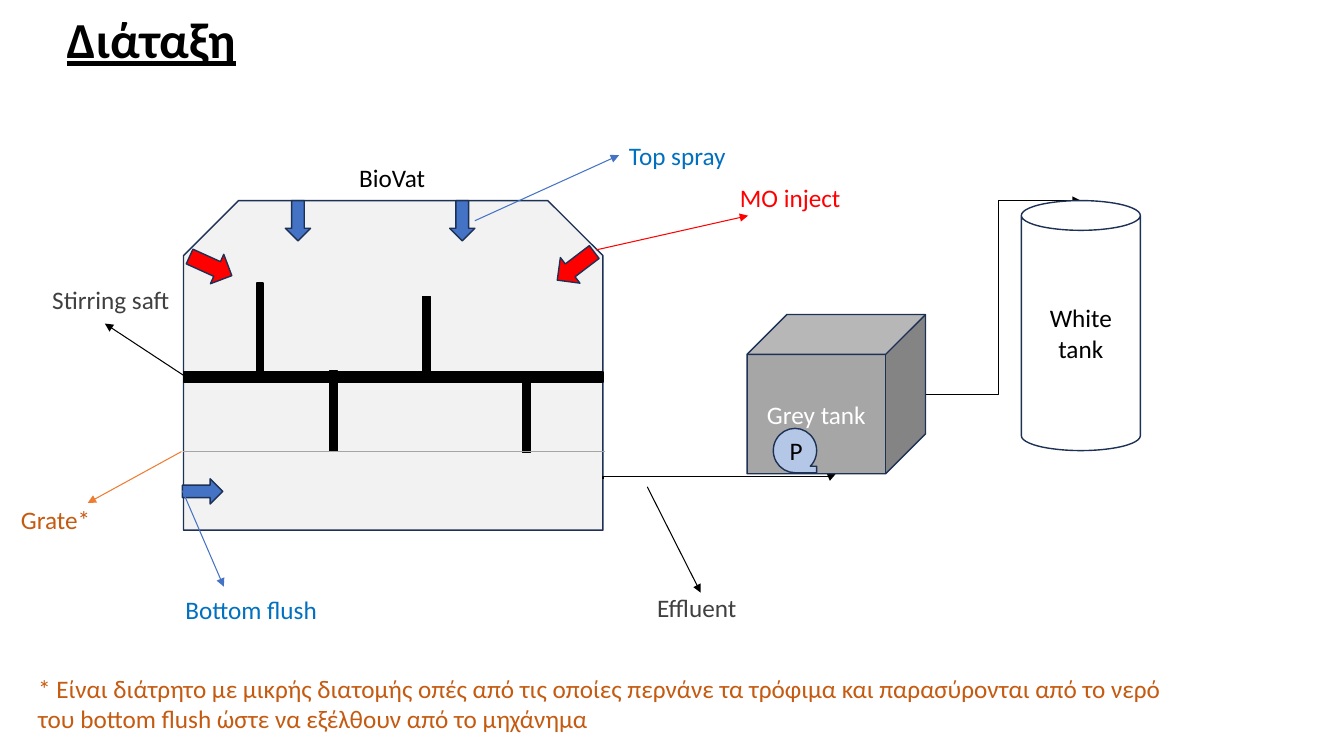
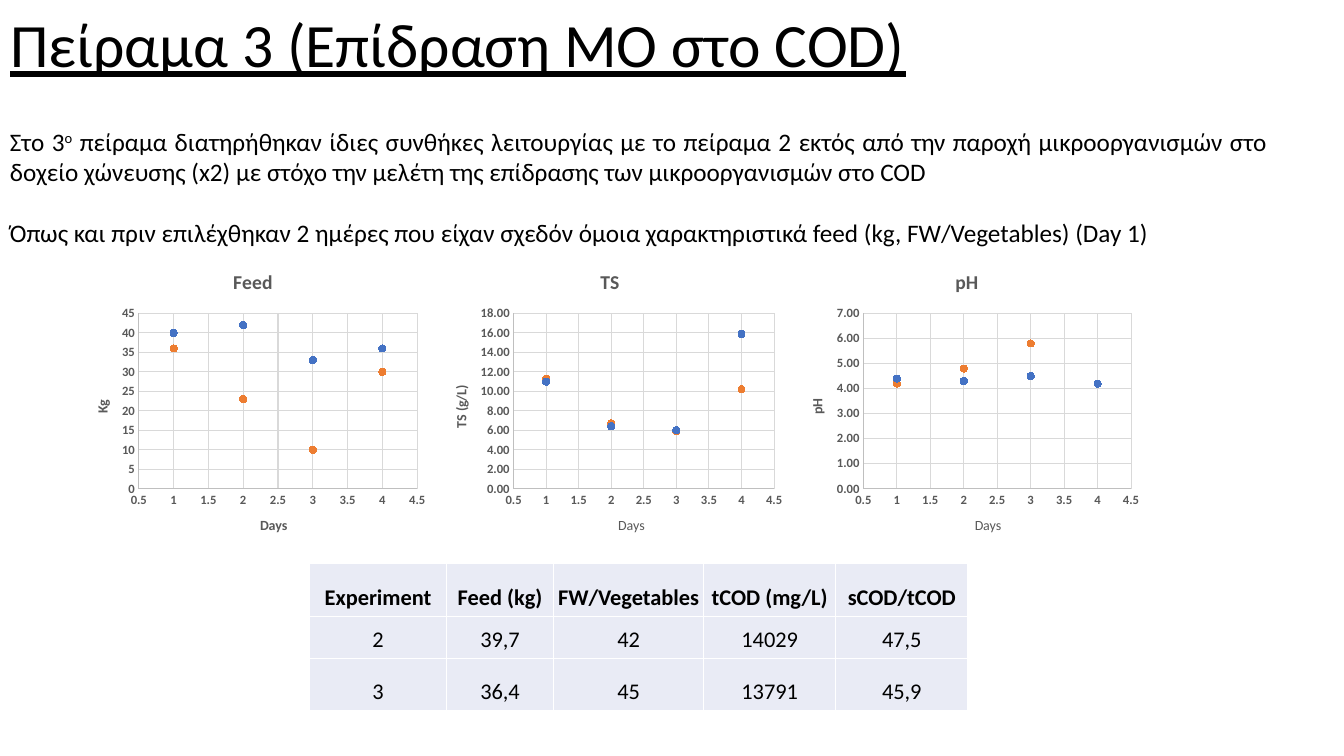
from dataclasses import dataclass

from lxml import etree
from pptx import Presentation
from pptx import util as u
from pptx.chart.data import XyChartData
from pptx.dml.color import RGBColor
from pptx.enum import chart as ch, shapes, text
from pptx.oxml.ns import qn

PX = 9144  # 100 px to the inch
MSO = shapes.MSO_SHAPE
CONN = shapes.MSO_CONNECTOR
CENTER, LEFT, JUSTIFY = (text.PP_ALIGN.CENTER, text.PP_ALIGN.LEFT,
                         text.PP_ALIGN.JUSTIFY)


@dataclass(frozen=True)
class Theme:
    font: str = "Calibri"
    black: str = "000000"
    white: str = "FFFFFF"
    outline: str = "1D3155"
    vessel: str = "F2F2F2"
    tank: str = "A6A6A6"
    pump: str = "B4C7E7"
    blue: str = "4472C4"
    label_blue: str = "0070C0"
    red: str = "FF0000"
    orange: str = "ED7D31"
    rust: str = "C55A11"
    dark: str = "404040"
    grate: str = "A5A5A5"
    chart_text: str = "595959"
    axis: str = "BFBFBF"
    grid: str = "D9D9D9"
    cell: str = "E9EBF5"
    body: int = 18
    table: int = 16
    chart_title: int = 14
    axis_title: int = 10
    tick: int = 9
    line: float = 0.75
    border: float = 0.96


T = Theme()


# Shared helpers
def px(*values):
    return [u.Emu(v * PX) for v in values]


def rgb(color):
    return RGBColor.from_string(color)


def style(font, size, color, bold=False, underline=None):
    font.name, font.size, font.bold = T.font, u.Pt(size), bold
    font.color.rgb = rgb(color)
    if underline:
        font.underline = True


def set_line(line, color, width):
    line.color.rgb = rgb(color)
    line.width = u.Pt(width)


def add_title_slide(prs, title, box, size, bold=False):
    s = prs.slides.add_slide(prs.slide_layouts[5])
    sp = s.shapes.title
    sp.left, sp.top, sp.width, sp.height = px(*box)
    tf = sp.text_frame
    tf.text = title
    tf.word_wrap = True
    tf.auto_size = text.MSO_AUTO_SIZE.NONE
    tf.vertical_anchor = text.MSO_ANCHOR.MIDDLE
    p = tf.paragraphs[0]
    p.alignment, p.line_spacing = LEFT, 0.9
    style(p.font, size, T.black, bold, underline=True)
    return s


def add_label(s, label, box, color, align=LEFT):
    tf = s.shapes.add_textbox(*px(*box)).text_frame
    tf.word_wrap = True
    p = tf.paragraphs[0]
    p.text, p.alignment = label, align
    style(p.font, T.body, color)
    return tf


# Diagram elements
def add_block(s, kind, box, fill, line=T.outline, adj=(), rot=0,
              label="", color=T.black):
    sp = s.shapes.add_shape(kind, *px(*box))
    sp.shadow.inherit = False
    sp.fill.solid()
    sp.fill.fore_color.rgb = rgb(fill)
    set_line(sp.line, line, 1)
    sp.rotation = rot
    for i, value in enumerate(adj):
        sp.adjustments[i] = value
    if label:
        p = sp.text_frame.paragraphs[0]
        p.text, p.alignment = label, CENTER
        style(p.font, T.body, color)


def add_line(s, start, end, color, arrow=True, kind=CONN.STRAIGHT):
    c = s.shapes.add_connector(kind, *px(*start, *end))
    set_line(c.line, color, T.line)
    etree.SubElement(c._element.spPr, qn("a:effectLst"))
    if arrow:
        ln = c.line._get_or_add_ln()
        etree.SubElement(ln, qn("a:tailEnd"), type="triangle")
    return c


def add_elbow(s, start, end, bend, rot=0):
    c = add_line(s, start, end, T.black, kind=CONN.ELBOW)
    spPr = c._element.spPr
    guides = spPr.find(qn("a:prstGeom")).get_or_add_avLst()
    etree.SubElement(guides, qn("a:gd"), name="adj1",
                     fmla=f"val {round(bend * 100000)}")
    if rot:
        spPr.find(qn("a:xfrm")).set("rot", str(rot * 60000))


# Charts
def set_axis(axis, title, title_bold, low, high, step, fmt):
    axis.minimum_scale, axis.maximum_scale, axis.major_unit = low, high, step
    axis.has_major_gridlines = True
    set_line(axis.major_gridlines.format.line, T.grid, T.line)
    set_line(axis.format.line, T.axis, T.line)
    axis.major_tick_mark = axis.minor_tick_mark = ch.XL_TICK_MARK.NONE
    labels = axis.tick_labels
    labels.number_format, labels.number_format_is_linked = fmt, False
    style(labels.font, T.tick, T.chart_text, True)
    p = axis.axis_title.text_frame.paragraphs[0]
    p.text = title
    style(p.font, T.axis_title, T.chart_text, title_bold)


def set_plot_box(chart, **fractions):
    area = chart._chartSpace.find(".//" + qn("c:plotArea"))
    for old in area.findall(qn("c:layout")):
        area.remove(old)
    layout = etree.Element(qn("c:layout"))
    manual = etree.SubElement(layout, qn("c:manualLayout"))
    settings = dict(layoutTarget="inner", xMode="edge", yMode="edge",
                    **fractions)
    for name, value in settings.items():
        etree.SubElement(manual, qn("c:" + name), val=str(value))
    area.insert(0, layout)


def add_scatter(s, box, title, unit, days_bold, high, step, fmt, series,
                plot_x, plot_w):
    data = XyChartData()
    for i, values in enumerate(series, 1):
        points = data.add_series(f"Series {i}")
        for day, value in enumerate(values, 1):
            points.add_data_point(day, value)
    chart = s.shapes.add_chart(ch.XL_CHART_TYPE.XY_SCATTER, *px(*box),
                               data).chart
    style(chart.font, T.axis_title, T.black)
    chart.has_legend = False
    p = chart.chart_title.text_frame.paragraphs[0]
    p.text = title
    style(p.font, T.chart_title, T.chart_text, True)
    plot = chart.plots[0]
    plot.vary_by_categories = False
    for ser, color in zip(plot.series, (T.blue, T.orange)):
        ser.format.line.fill.background()
        ser.marker.style, ser.marker.size = ch.XL_MARKER_STYLE.CIRCLE, 5
        ser.marker.format.fill.solid()
        ser.marker.format.fill.fore_color.rgb = rgb(color)
        set_line(ser.marker.format.line, color, T.line)
    set_axis(chart.category_axis, "Days", days_bold, 0.5, 4.5, 0.5, "General")
    set_axis(chart.value_axis, unit, True, 0, high, step, fmt)
    set_plot_box(chart, x=plot_x, y=0.2, w=plot_w, h=0.58)


# Table
def set_borders(cell, color, width):
    tcPr = cell._tc.get_or_add_tcPr()
    for side in ("lnL", "lnR", "lnT", "lnB"):
        ln = etree.SubElement(tcPr, qn("a:" + side), w=str(u.Pt(width)))
        fill = etree.SubElement(ln, qn("a:solidFill"))
        etree.SubElement(fill, qn("a:srgbClr"), val=color)


def add_table(s, left, top, widths, heights, rows):
    box = px(left, top, sum(widths), sum(heights))
    table = s.shapes.add_table(len(rows), len(widths), *box).table
    table.first_row = table.horz_banding = False
    for column, width in zip(table.columns, px(*widths)):
        column.width = width
    for row, height in zip(table.rows, px(*heights)):
        row.height = height
    for i, values in enumerate(rows):
        for j, value in enumerate(values):
            cell = table.cell(i, j)
            set_borders(cell, T.white, T.border)
            cell.fill.solid()
            cell.fill.fore_color.rgb = rgb(T.cell)
            cell.margin_left = cell.margin_right = px(1)[0]
            cell.vertical_anchor = text.MSO_ANCHOR.BOTTOM
            p = cell.text_frame.paragraphs[0]
            p.text, p.alignment = value, CENTER
            style(p.font, T.table, T.black, bold=i == 0)


# Slides
def build_layout_slide(prs):
    s = add_title_slide(prs, "Διάταξη", (56, 10, 1150, 63), 36, bold=True)

    # Vessel, tanks and pipes
    add_block(s, MSO.SNIP_2_SAME_RECTANGLE, (182, 199, 416, 327), T.vessel,
              adj=(0.167, 0))
    add_elbow(s, (716, 588), (711, 357), 0.51, rot=90)
    add_elbow(s, (918, 391), (1072, 199), 0.47)
    add_block(s, MSO.CAN, (1013, 199, 118, 248), T.white, adj=(0.25,),
              label="White tank")
    add_block(s, MSO.CUBE, (741, 312, 177, 158), T.tank, adj=(0.25,),
              label="Grey tank", color=T.white)
    add_block(s, MSO.FLOWCHART_SEQUENTIAL_ACCESS_STORAGE, (767, 425, 43, 44),
              T.pump, label="P")

    # Inlets
    for x in (283, 446):
        add_block(s, MSO.DOWN_ARROW, (x, 199, 25, 40), T.blue)
    for x, rot in ((186, 24.4), (548, 142.7)):
        add_block(s, MSO.RIGHT_ARROW, (x, 248, 46, 32), T.red, rot=rot)
    add_block(s, MSO.RIGHT_ARROW, (181, 475, 40, 25), T.blue)

    # Stirring shaft with its blades, and the grate
    for bar in ((182, 369, 416, 10), (255, 281, 6, 97), (327, 368, 8, 80),
                (419, 294, 8, 80), (518, 369, 8, 80)):
        add_block(s, MSO.RECTANGLE, bar, T.black, line=T.black)
    add_line(s, (182, 448), (600, 448), T.grate, arrow=False)

    # Pointers and labels
    for start, end, color in (
            ((471, 219), (614, 154), T.blue),
            ((591, 248), (742, 214), T.red),
            ((183, 373), (104, 321), T.black),
            ((180, 448), (87, 499), T.orange),
            ((181, 487), (222, 582), T.blue),
            ((642, 483), (695, 588), T.black)):
        add_line(s, start, end, color)
    for label, x, y, color in (
            ("Top spray", 614, 134, T.label_blue),
            ("MO inject", 724, 176, T.red),
            ("Stirring saft", 42, 277, T.dark),
            ("Bottom flush", 174, 585, T.label_blue),
            ("Effluent", 642, 583, T.dark),
            ("Grate*", 11, 495, T.rust)):
        add_label(s, label, (x, y, 163, 40), color)
    add_label(s, "BioVat", (56, 156, 666, 40), T.black, CENTER)
    add_label(s, "* Είναι διάτρητο με μικρής διατομής οπές από τις οποίες "
              "περνάνε τα τρόφιμα και παρασύρονται από το νερό του bottom "
              "flush ώστε να εξέλθουν από το μηχάνημα",
              (28, 663, 1171, 70), T.rust)


def build_experiment_slide(prs):
    s = add_title_slide(prs, "Πείραμα 3 (Επίδραση ΜΟ στο COD)",
                        (0, 2, 1150, 91), 44)

    # Introduction
    tf = add_label(s, "Στο 3", (0, 120, 1267, 160), T.black, JUSTIFY)
    p = tf.paragraphs[0]
    r = p.add_run()
    r.text = "ο"
    r._r.get_or_add_rPr().set("baseline", "30000")
    p.add_run().text = (
        " πείραμα διατηρήθηκαν ίδιες συνθήκες λειτουργίας με το πείραμα 2 "
        "εκτός από την παροχή μικροοργανισμών στο δοχείο χώνευσης (x2) με "
        "στόχο την μελέτη της επίδρασης των μικροοργανισμών στο COD")
    p = tf.add_paragraph()
    p.text = ("Όπως και πριν επιλέχθηκαν 2 ημέρες που είχαν σχεδόν όμοια "
              "χαρακτηριστικά feed (kg, FW/Vegetables) (Day 1)")
    p.alignment, p.space_before = JUSTIFY, u.Pt(22)
    style(p.font, T.body, T.black)

    # Charts: title, unit, bold days, top, step, format, series, plot x and w
    charts = (
        ("Feed", "Kg", True, 45, 5, "General",
         ((40, 42, 33, 36), (36, 23, 10, 30)), 0.18, 0.78),
        ("TS", "TS (g/L)", False, 18, 2, "0.00",
         ((11, 6.4, 6, 15.9), (11.3, 6.7, 5.9, 10.2)), 0.23, 0.73),
        ("pH", "pH", False, 7, 1, "0.00",
         ((4.4, 4.3, 4.5, 4.2), (4.2, 4.8, 5.8, 4.2)), 0.21, 0.75),
    )
    for i, chart in enumerate(charts):
        add_scatter(s, (74 + 354 * i, 251, 354, 300), *chart)

    # Results
    add_table(s, 307, 559, (136, 106, 149, 131, 131), (53, 41, 52), (
        ("Experiment", "Feed (kg)", "FW/Vegetables", "tCOD (mg/L)",
         "sCOD/tCOD"),
        ("2", "39,7", "42", "14029", "47,5"),
        ("3", "36,4", "45", "13791", "45,9")))


def main():
    prs = Presentation()
    prs.slide_width, prs.slide_height = px(1333, 750)
    build_layout_slide(prs)
    build_experiment_slide(prs)
    prs.save("out.pptx")


if __name__ == "__main__":
    main()
